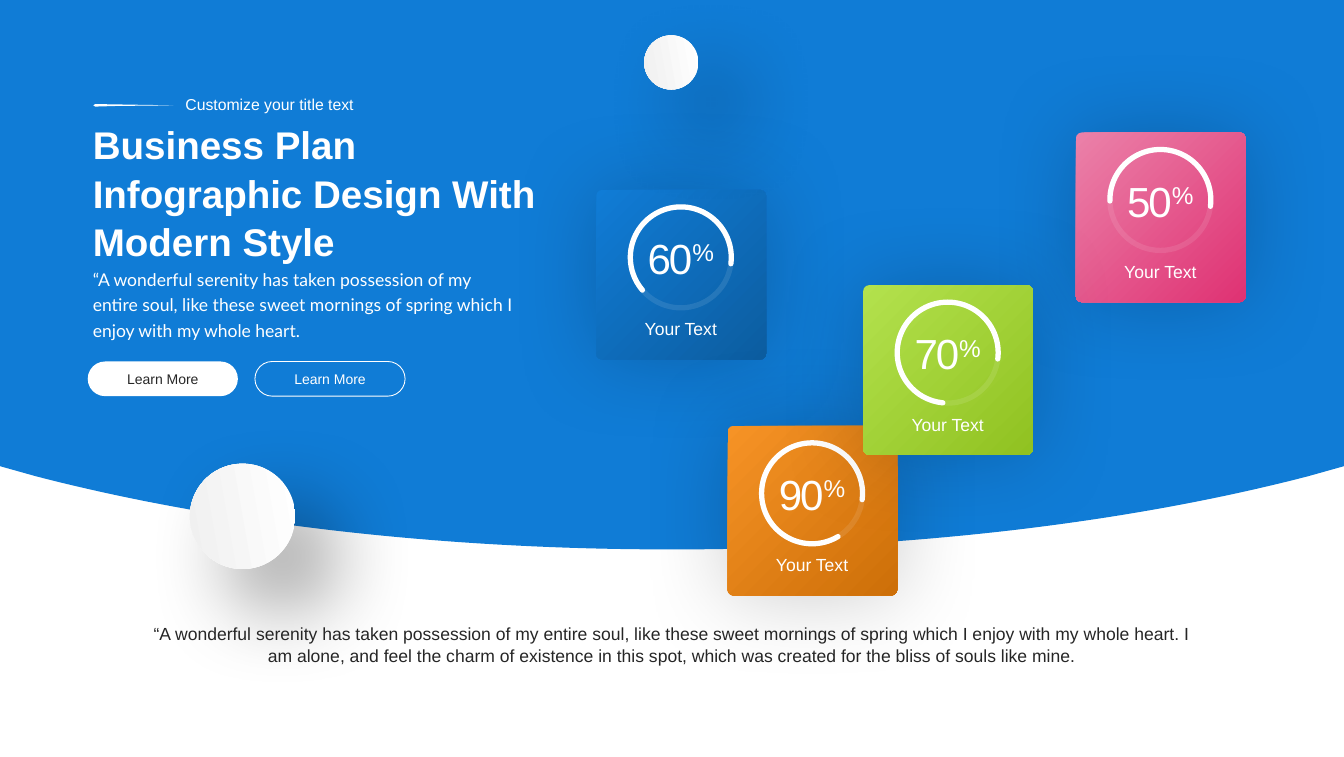
from dataclasses import dataclass

from lxml.etree import SubElement
from pptx import Presentation
from pptx.dml.color import RGBColor
from pptx.enum.shapes import MSO_SHAPE
from pptx.enum.text import MSO_ANCHOR, MSO_AUTO_SIZE, PP_ALIGN
from pptx.oxml.ns import qn
from pptx.util import Emu, Pt

PX = 9144  # EMU per px, 100 px to the inch
SLIDE_WIDTH, SLIDE_HEIGHT = 2130, 1200
CARD_SIZE, RING_SIZE = 269, 160
ARC_END = 7.27  # degrees, clockwise from three o'clock


@dataclass(frozen=True)
class Theme:
    white: str = "FFFFFF"
    blue: str = "107CD6"
    dark: str = "262626"
    sphere_edge: str = "F0F0F0"
    font: str = "Arial"
    quote_font: str = "Lato"
    title: int = 44
    number: int = 48
    body: int = 20
    kicker: int = 18
    button: int = 16


THEME = Theme()


@dataclass(frozen=True)
class Box:
    left: int
    top: int
    width: int
    height: int

    def emu(self) -> list[Emu]:
        return [Emu(side * PX) for side in (self.left, self.top, self.width, self.height)]


@dataclass(frozen=True)
class Card:
    left: int
    top: int
    percent: int
    arc_start: float
    light: str
    deep: str


CARDS = (
    Card(1705, 210, 50, 178.79, "EB81A9", "DF3273"),
    Card(945, 301, 60, 139.47, THEME.blue, "0C5DA0"),
    Card(1153, 675, 90, 59.07, "F69326", "CD6F08"),
    Card(1368, 452, 70, 95.52, "B3E14D", "90C221"),
)


def color(value: str) -> RGBColor:
    return RGBColor.from_string(value)


def write(shape, text: str, size: int, ink: str = THEME.white, font: str = THEME.font,
          align=PP_ALIGN.LEFT, spacing: float = 1.0, anchor=MSO_ANCHOR.TOP):
    frame = shape.text_frame
    frame.word_wrap = True
    frame.auto_size = MSO_AUTO_SIZE.NONE
    frame.vertical_anchor = anchor
    paragraph = frame.paragraphs[0]
    paragraph.text = text
    paragraph.alignment = align
    paragraph.line_spacing = spacing
    paragraph.space_before = Pt(0)
    paragraph.font.size = Pt(size)
    paragraph.font.name = font
    paragraph.font.color.rgb = color(ink)
    return paragraph


def add_text(slide, box: Box, text: str, size: int, **style):
    return write(slide.shapes.add_textbox(*box.emu()), text, size, **style)


def place(shape, box: Box) -> None:
    shape.left, shape.top, shape.width, shape.height = box.emu()


def add_plain(slide, kind, box: Box):
    """Add a preset shape with neither fill, line nor shadow."""
    shape = slide.shapes.add_shape(kind, *box.emu())
    shape.shadow.inherit = False
    shape.fill.background()
    shape.line.fill.background()
    return shape


def add_outline(slide, points: list, fill: str):
    builder = slide.shapes.build_freeform(*(round(value * PX) for value in points[0]))
    builder.add_line_segments([(round(x * PX), round(y * PX)) for x, y in points[1:]])
    shape = builder.convert_to_shape()
    shape.shadow.inherit = False
    shape.fill.solid()
    shape.fill.fore_color.rgb = color(fill)
    shape.line.fill.background()
    return shape


def fill_gradient(shape, start: str, end: str, clockwise: int) -> None:
    shape.fill.gradient()
    shape.fill.gradient_angle = 360 - clockwise
    for stop, value in zip(shape.fill.gradient_stops, (start, end)):
        stop.color.rgb = color(value)


def add_shadow(shape, opacity: int, distance: int = 0, angle: int = 0) -> None:
    effects = shape.element.spPr.find(qn("a:effectLst"))
    shadow = SubElement(effects, qn("a:outerShdw"), blurRad=str(Pt(100)), dist=str(Pt(distance)),
                        dir=str(angle * 60000), algn="ctr", rotWithShape="0")
    black = SubElement(shadow, qn("a:srgbClr"), val="000000")
    SubElement(black, qn("a:alpha"), val=str(opacity * 1000))


def set_line(shape, width: int) -> None:
    shape.line.color.rgb = color(THEME.white)
    shape.line.width = Pt(width)


def bezier(start, first, second, end, steps: int = 40) -> list:
    def at(t: float) -> tuple:
        u = 1 - t
        return tuple(u**3 * a + 3 * u * u * t * b + 3 * u * t * t * c + t**3 * d
                     for a, b, c, d in zip(start, first, second, end))
    return [at(step / steps) for step in range(steps + 1)]


def add_backdrop(slide) -> None:
    """Draw the symmetric blue field behind everything else."""
    right = [(SLIDE_WIDTH, 0), (SLIDE_WIDTH, 739)]
    right += bezier((2073, 755), (1792, 828), (1443, 871), (1065, 871))
    left = [(SLIDE_WIDTH - x, y) for x, y in reversed(right[:-1])]
    element = add_outline(slide, right + left, THEME.blue).element
    element.getparent().insert(2, element)


def add_sphere(slide, box: Box) -> None:
    sphere = add_plain(slide, MSO_SHAPE.OVAL, box)
    fill_gradient(sphere, THEME.white, THEME.sphere_edge, 170)
    add_shadow(sphere, 40, 64, 45)


def add_button(slide, left: int, filled: bool) -> None:
    button = add_plain(slide, MSO_SHAPE.ROUNDED_RECTANGLE, Box(left, 573, 238, 55))
    button.adjustments[0] = 0.5
    if filled:
        button.fill.solid()
        button.fill.fore_color.rgb = color(THEME.white)
    else:
        set_line(button, 1)
    write(button, "Learn More", THEME.button, ink=THEME.dark if filled else THEME.white,
          align=PP_ALIGN.CENTER, anchor=MSO_ANCHOR.MIDDLE)


def add_card(slide, card: Card) -> None:
    panel = add_plain(slide, MSO_SHAPE.ROUNDED_RECTANGLE,
                      Box(card.left, card.top, CARD_SIZE, CARD_SIZE))
    panel.adjustments[0] = 0.035
    fill_gradient(panel, card.light, card.deep, 45)
    add_shadow(panel, 20)

    ring_box = Box(card.left + 54, card.top + 27, RING_SIZE, RING_SIZE)
    ring = add_plain(slide, MSO_SHAPE.OVAL, ring_box)
    set_line(ring, 6)
    ring_color = ring.line._get_or_add_ln().find(".//" + qn("a:srgbClr"))
    SubElement(ring_color, qn("a:alpha"), val="10000")

    arc = add_plain(slide, MSO_SHAPE.ARC, ring_box)
    arc.adjustments[0], arc.adjustments[1] = card.arc_start * 0.6, ARC_END * 0.6
    set_line(arc, 6)
    arc.line._get_or_add_ln().set("cap", "rnd")

    number = add_text(slide, Box(card.left + 65, card.top + 62, 138, 91), str(card.percent),
                      THEME.number, align=PP_ALIGN.CENTER, anchor=MSO_ANCHOR.MIDDLE)
    sign = number.add_run()
    sign.text = "%"
    sign.font._element.set("baseline", "30000")
    for run in number.runs:
        run.font._element.set("spc", "-240")
    add_text(slide, Box(card.left + 8, card.top + 205, 252, 38), "Your Text", THEME.body,
             align=PP_ALIGN.CENTER, spacing=0.8)


def main() -> None:
    presentation = Presentation()
    presentation.slide_width = Emu(SLIDE_WIDTH * PX)
    presentation.slide_height = Emu(SLIDE_HEIGHT * PX)
    slide = presentation.slides.add_slide(presentation.slide_layouts[1])
    add_backdrop(slide)

    title, quote = slide.placeholders
    place(title, Box(137, 183, 753, 232))
    write(title, "Business Plan Infographic Design With Modern Style", THEME.title,
          spacing=1.05).font.bold = True
    place(quote, Box(137, 415, 690, 128))
    opening = ("“A wonderful serenity has taken possession of my entire soul, like these sweet "
               "mornings of spring which I enjoy with my whole heart.")
    paragraph = write(quote, opening, THEME.body, font=THEME.quote_font, spacing=1.2)
    properties = paragraph._p.get_or_add_pPr()
    properties.set("marL", "0")
    properties.set("indent", "0")
    properties.insert_element_before(properties.makeelement(qn("a:buNone")),
                                     "a:tabLst", "a:defRPr", "a:extLst")

    add_text(slide, Box(284, 145, 367, 40), "Customize your title text", THEME.kicker)
    add_outline(slide, [(151, 165), (275, 167), (185, 168), (151, 169), (148, 167)], THEME.white)
    add_button(slide, 139, filled=True)
    add_button(slide, 404, filled=False)
    add_sphere(slide, Box(301, 735, 167, 167))
    add_text(slide, Box(233, 981, 1664, 77),
             opening + " I am alone, and feel the charm of existence in this spot, which was "
             "created for the bliss of souls like mine.",
             THEME.body, ink=THEME.dark, align=PP_ALIGN.CENTER, spacing=1.05)
    for card in CARDS:
        add_card(slide, card)
    add_sphere(slide, Box(1021, 56, 86, 86))
    presentation.save("out.pptx")


if __name__ == "__main__":
    main()
